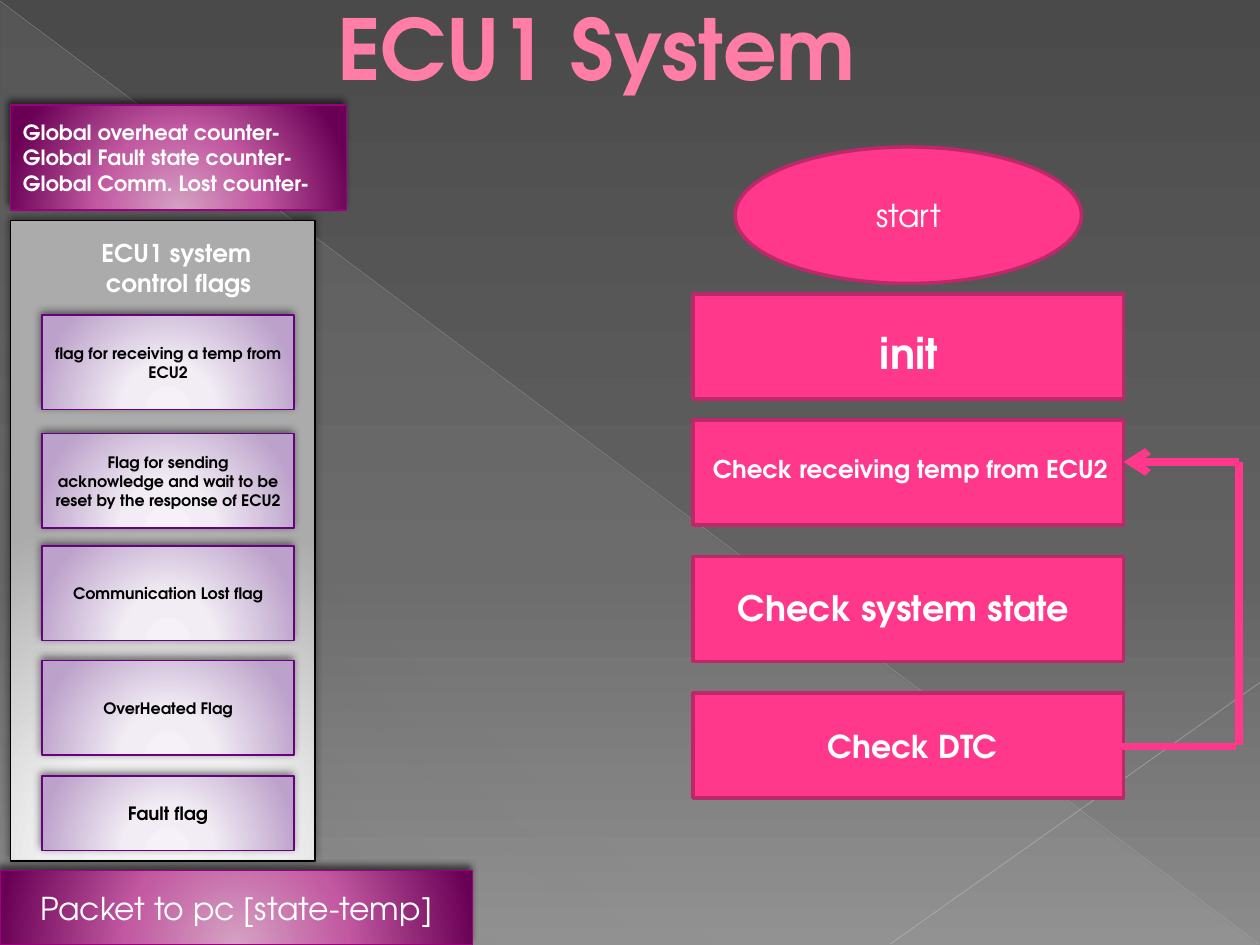
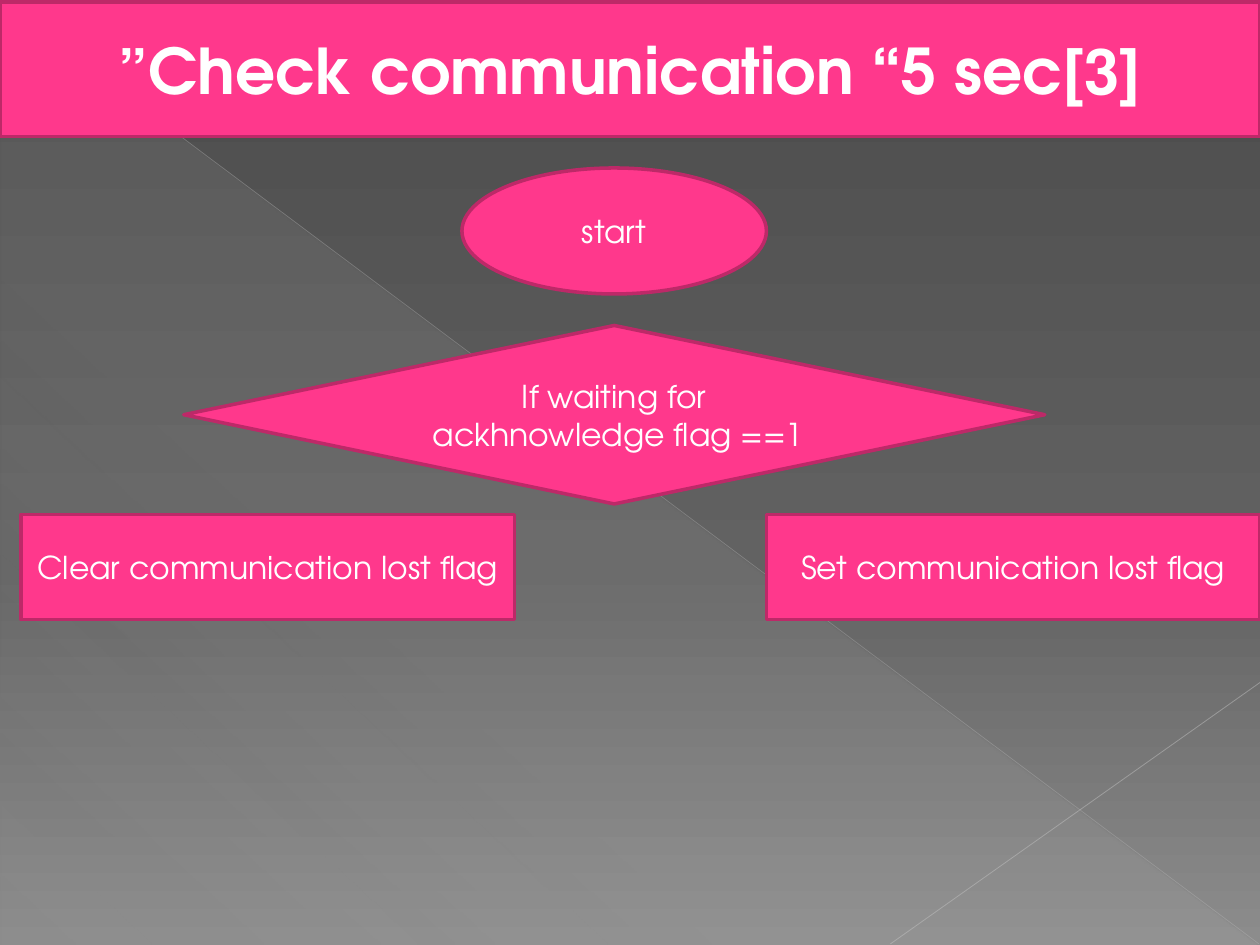
from dataclasses import dataclass
from typing import Any, NamedTuple, Optional, Union

from pptx import Presentation
from pptx import util as u
from pptx.dml.color import RGBColor
from pptx.enum import shapes as sh, text as tx
from pptx.oxml import ns, parse_xml

FONT = "TeX Gyre Adventor"
PINK = RGBColor(0xFF, 0x38, 0x8C)
EDGE = RGBColor(0xBD, 0x29, 0x68)
ROSE = RGBColor(0xFF, 0x7D, 0xA7)
WINE = RGBColor(0xB1, 0x27, 0x61)
PLUM = RGBColor(0x9C, 0x00, 0x7F)
GRAPE = RGBColor(0x68, 0x00, 0x7F)
WHITE = RGBColor(0xFF, 0xFF, 0xFF)
BLACK = RGBColor(0, 0, 0)
PALE = RGBColor(0xBF, 0xBF, 0xBF)
PALER = RGBColor(0xC6, 0xC6, 0xC6)
MIST = RGBColor(0xD2, 0xD2, 0xD2)

COLS, ROWS = 120, 90
WIDTH, HEIGHT = u.Inches(10), u.Inches(7.5)

LEFT, MID, RIGHT = tx.PP_ALIGN.LEFT, tx.PP_ALIGN.CENTER, tx.PP_ALIGN.RIGHT
RECT, OVAL = sh.MSO_SHAPE.RECTANGLE, sh.MSO_SHAPE.OVAL
WEDGE, CHOICE = sh.MSO_SHAPE.RIGHT_TRIANGLE, sh.MSO_SHAPE.FLOWCHART_DECISION


class Area(NamedTuple):
    """Place on the grid, in columns and rows."""
    x: float
    y: float
    w: float
    h: float


class Stop(NamedTuple):
    pos: int
    tint: RGBColor
    alpha: int = 100


class Blend(NamedTuple):
    """Gradient; without an angle it glows from below the shape."""
    stops: tuple[Stop, ...]
    angle: Optional[int] = None


class Shade(NamedTuple):
    alpha: int
    blur: int
    dist: int


@dataclass(frozen=True)
class Look:
    fill: Union[RGBColor, Blend]
    edge: Optional[RGBColor] = None
    width: float = 0.75
    shade: Optional[Shade] = None


@dataclass(frozen=True)
class Type:
    size: float
    bold: bool = False
    color: RGBColor = WHITE
    align: Any = MID


@dataclass(frozen=True)
class Block:
    area: Area
    words: str = ""
    type: Type = Type(18)
    kind: Any = RECT
    look: Optional[Look] = None


def blend(*tints: tuple[int, str]) -> Blend:
    return Blend(tuple(Stop(p, RGBColor.from_string(c)) for p, c in tints))


SKY = blend((0, "4A4A4A"), (60, "626262"), (100, "8C8C8C"))._replace(angle=90)
VEIL = Blend((Stop(0, MIST, 10), Stop(70, MIST, 8), Stop(100, MIST, 1)), 133)
SOFT, DEEP = Shade(50, 5, 2), Shade(60, 4, 3)
STEP = Look(PINK, EDGE, 2)
PANEL = Look(blend((0, "F4F4F4"), (34, "EFEFEF"), (100, "ABABAB")), BLACK, shade=SOFT)
FLAG = Look(blend((0, "F6F1F8"), (34, "F2EDF5"), (100, "BCA1CA")), GRAPE, shade=SOFT)
NOTE = Look(blend((0, "D5A2C3"), (46, "C259A1"), (100, "690055")), PLUM, shade=DEEP)

SMALL = Type(9, True, BLACK)
FLAGS = [
    (30, 9, "flag for receiving a temp from ECU2", SMALL),
    (41.3, 9, "Flag for sending acknowledge and wait to be reset by the response of ECU2", SMALL),
    (52, 9, "Communication Lost flag", SMALL),
    (62.9, 9, "OverHeated Flag", SMALL),
    (73.9, 7.1, "Fault flag", Type(10.5, True, BLACK)),
]
COUNTS = "-Global overheat counter\n-Global Fault state counter\n-Global Comm. Lost counter"

FLOW = [
    Block(Area(70, 14, 33, 13), kind=OVAL, look=STEP),
    *(Block(Area(66, y, 41, 10), look=STEP) for y in (28, 40, 53)),
    Block(Area(66, 66, 41, 10), "Check DTC ", Type(18, True), look=STEP),
]
LABELS = [
    Block(Area(74.8, 18.1, 16, 4.8), "start", Type(18, align=RIGHT)),
    Block(Area(75.7, 30.6, 14.8, 6), "init", Type(24, True, align=RIGHT)),
    Block(Area(42.7, 42.7, 64, 4.1), "Check receiving temp from ECU2", Type(14, True, align=RIGHT)),
    Block(Area(21, 55.3, 82, 5.3), "Check system state", Type(20, True, align=RIGHT)),
]
SIDE = [
    Block(Area(1, 21, 29, 61), look=PANEL),
    *(Block(Area(4, y, 24, h), words, kind, look=FLAG) for y, h, words, kind in FLAGS),
    Block(Area(6, 22.1, 19.1, 6.8), "ECU1 system control flags", Type(14, True, align=RIGHT)),
    Block(Area(1, 10, 32, 10), COUNTS, Type(12, True, align=LEFT), look=NOTE),
    Block(Area(0, 82.9, 45, 7.1), "Packet to pc [state-temp]", look=NOTE),
]
CHECK = [
    Block(Area(44, 16, 29, 12), "start", kind=OVAL, look=STEP),
    Block(Area(17.5, 31, 82, 17), "If waiting for ackhnowledge flag ==1 ", kind=CHOICE, look=STEP),
    Block(Area(73, 49, 47, 10), "Set communication lost flag", look=STEP),
    Block(Area(2, 49, 47, 10), "Clear communication lost flag", look=STEP),
]


def across(n: float) -> int:
    return round(WIDTH * n / COLS)


def down(n: float) -> int:
    return round(HEIGHT * n / ROWS)


def place(area: Area) -> tuple[int, int, int, int]:
    return across(area.x), down(area.y), across(area.w), down(area.h)


def node(body: str) -> Any:
    """Parse one drawing element, written without its namespace."""
    head, rest = body.split(">", 1)
    close = "/" if head.endswith("/") else ""
    return parse_xml(f"{head.rstrip('/')} {ns.nsdecls('a')}{close}>{rest}")


def paint(holder: Any, mix: Blend) -> None:
    """Swap the plain fill of an element for a gradient."""
    stops = "".join(
        f'<a:gs pos="{s.pos * 1000}"><a:srgbClr val="{s.tint}">'
        f'<a:alpha val="{s.alpha * 1000}"/></a:srgbClr></a:gs>' for s in mix.stops)
    if mix.angle is None:
        way = ('<a:path path="circle"><a:fillToRect l="50000" t="155000" '
               'r="50000" b="-55000"/></a:path>')
    else:
        way = f'<a:lin ang="{mix.angle * 60000}" scaled="0"/>'
    plain = holder.find(ns.qn("a:solidFill"))
    holder.replace(plain, node(f"<a:gradFill><a:gsLst>{stops}</a:gsLst>{way}</a:gradFill>"))


def dress(shape: Any, look: Look) -> None:
    shape.shadow.inherit = False
    shape.fill.solid()
    if isinstance(look.fill, Blend):
        paint(shape._element.spPr, look.fill)
    else:
        shape.fill.fore_color.rgb = look.fill
    if look.edge is None:
        shape.line.fill.background()
    else:
        shape.line.color.rgb = look.edge
        shape.line.width = u.Pt(look.width)
    if look.shade:
        alpha, blur, dist = look.shade
        shape._element.spPr.find(ns.qn("a:effectLst")).append(node(
            f'<a:outerShdw blurRad="{u.Pt(blur)}" dist="{u.Pt(dist)}" dir="{245 * 60000}" '
            f'rotWithShape="0"><a:srgbClr val="{BLACK}"><a:alpha val="{alpha * 1000}"/>'
            '</a:srgbClr></a:outerShdw>'))


def write(frame: Any, words: str, kind: Type) -> None:
    """Fill a frame with right-to-left paragraphs, one a line."""
    frame.word_wrap = True
    for i, line in enumerate(words.split("\n")):
        para = frame.add_paragraph() if i else frame.paragraphs[0]
        para.alignment = kind.align
        para._p.get_or_add_pPr().set("rtl", "1")
        run = para.add_run()
        run.text = line
        run.font.name = FONT
        run.font.size = u.Pt(kind.size)
        run.font.bold = kind.bold
        run.font.color.rgb = kind.color


def draw(slide: Any, block: Block) -> None:
    spot = place(block.area)
    if block.look:
        shape = slide.shapes.add_shape(block.kind, *spot)
        dress(shape, block.look)
        shape.text_frame.vertical_anchor = tx.MSO_ANCHOR.MIDDLE
    else:
        shape = slide.shapes.add_textbox(*spot)
        shape.text_frame.auto_size = tx.MSO_AUTO_SIZE.SHAPE_TO_FIT_TEXT
    if block.words:
        write(shape.text_frame, block.words, block.type)


def link(slide: Any, start: tuple[float, float], end: tuple[float, float],
         color: RGBColor, width: float, alpha: int = 100, arrow: bool = False) -> None:
    wire = slide.shapes.add_connector(
        sh.MSO_CONNECTOR.STRAIGHT, across(start[0]), down(start[1]), across(end[0]), down(end[1]))
    wire.line.color.rgb = color
    wire.line.width = u.Pt(width)
    wire._element.spPr.append(node("<a:effectLst/>"))
    line = wire.line._get_or_add_ln()
    if alpha < 100:
        line.find(".//" + ns.qn("a:srgbClr")).append(node(f'<a:alpha val="{alpha * 1000}"/>'))
    if arrow:
        line.append(node('<a:tailEnd type="arrow"/>'))


def begin(deck: Any, area: Area, words: str, kind: Type) -> tuple[Any, Any]:
    """Add a slide with the shared backdrop and a title on top of it."""
    slide = deck.slides.add_slide(deck.slide_layouts[5])
    draw(slide, Block(Area(0.1, 0.2, 119.8, 89.8), kind=WEDGE, look=Look(VEIL)))
    link(slide, (0, 0.1), (119.9, 89.9), PALE, 0.39, 35)
    link(slide, (120, 65), (84.8, 89.9), PALER, 0.47, 45)
    title = slide.shapes.title
    slide.shapes._spTree.append(title._element)
    title.left, title.top, title.width, title.height = place(area)
    frame = title.text_frame
    frame.auto_size = tx.MSO_AUTO_SIZE.NONE
    frame.vertical_anchor = tx.MSO_ANCHOR.MIDDLE
    write(frame, words, kind)
    return slide, title


def system(deck: Any) -> None:
    slide, title = begin(deck, Area(6, 4.5, 108, 9.5), "ECU1 System", Type(48, True, ROSE))
    para = title.text_frame.paragraphs[0]
    para._p.get_or_add_pPr().set("marL", str(u.Inches(0.53)))
    para._p.get_or_add_pPr().set("indent", "0")
    para.runs[0]._r.get_or_add_rPr().insert(0, node(
        f'<a:ln w="{u.Pt(0.5)}"><a:solidFill><a:srgbClr val="{WINE}"/></a:solidFill></a:ln>'))
    para.add_line_break()
    para.font.size = u.Pt(48)
    para._p[-1].get_or_add_rPr().set("sz", "4800")
    for block in FLOW:
        draw(slide, block)
    link(slide, (104, 71.1), (117.7, 71.1), PINK, 4.5)
    link(slide, (118, 71), (118, 44), PINK, 4.5)
    link(slide, (118, 44), (107, 44), PINK, 4.5, arrow=True)
    for block in LABELS + SIDE:
        draw(slide, block)


def check(deck: Any) -> None:
    slide, title = begin(deck, Area(0, 0.2, 120, 12.8),
                         "[3]Check communication “5 sec”", Type(36, True))
    dress(title, STEP)
    for block in CHECK:
        draw(slide, block)


def main() -> None:
    deck = Presentation()
    deck.slide_width, deck.slide_height = WIDTH, HEIGHT
    master = deck.slide_master
    master.background.fill.solid()
    paint(master._element.find(".//" + ns.qn("p:bgPr")), SKY)
    system(deck)
    check(deck)
    deck.save("out.pptx")


if __name__ == "__main__":
    main()
